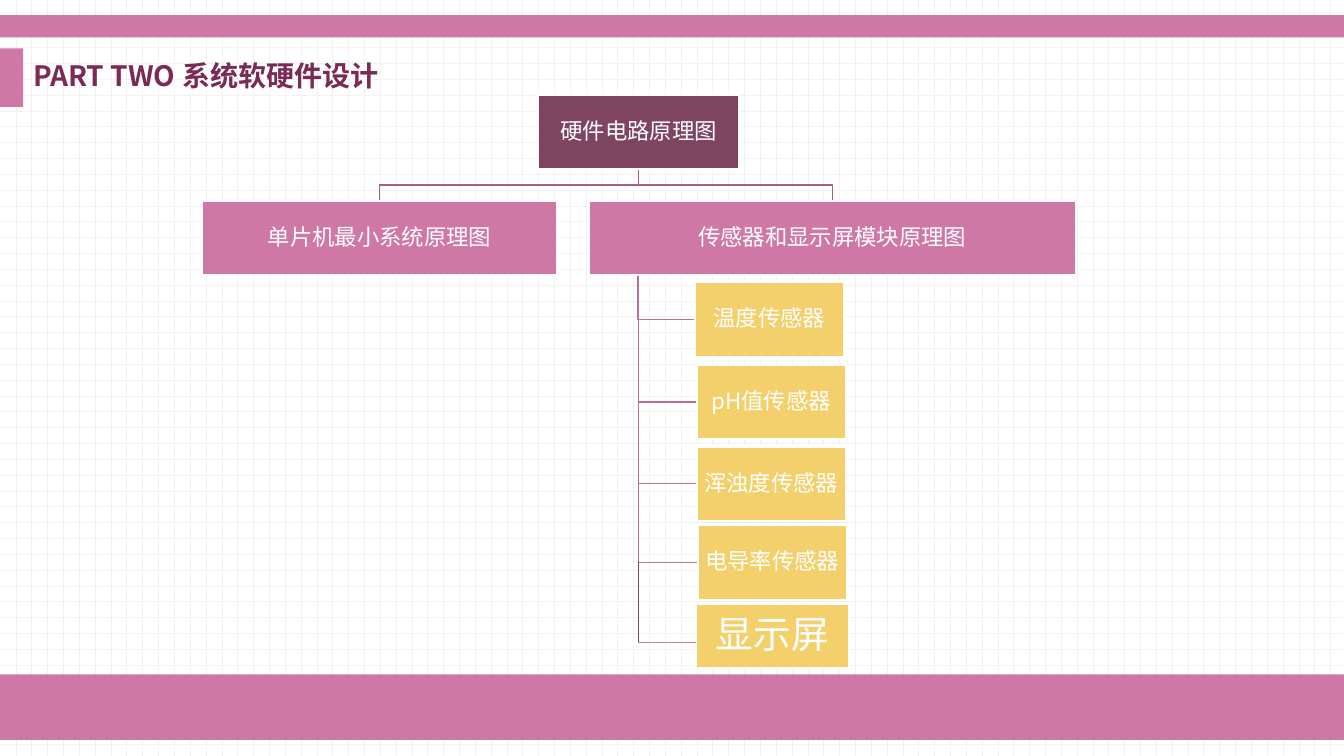
import pptx
import pptx.util
import pptx.dml.color
import pptx.enum.dml
import pptx.enum.shapes
import pptx.enum.text
import pptx.oxml

Inches = pptx.util.Inches
Pt = pptx.util.Pt
ALIGN = pptx.enum.text.PP_ALIGN
MIDDLE = pptx.enum.text.MSO_ANCHOR.MIDDLE
RECT = pptx.enum.shapes.MSO_SHAPE.RECTANGLE
A_NS = "http://schemas.openxmlformats.org/drawingml/2006/main"

PINK, PLUM, GOLD, WHITE = "D078A5", "7E4460", "F3D06C", "FFFFFF"
SANS, DISPLAY = "Noto Sans CJK SC", "TeX Gyre Adventor"


def rgb(value):
    return pptx.dml.color.RGBColor.from_string(value)


def apply(obj, values):
    for name, value in values.items():
        setattr(obj, name, value)


class Deck:
    """Holds the style and the current slide, and draws each kind of element."""

    def __init__(self, width, height):
        self.prs = pptx.Presentation()
        apply(self.prs, {"slide_width": Inches(width), "slide_height": Inches(height)})
        self.s = self.prs.slides.add_slide(self.prs.slide_layouts[5])

    def background(self, fore, back):
        fill = self.s.background.fill
        fill.patterned()
        fill.pattern = pptx.enum.dml.MSO_PATTERN.DOTTED_GRID
        fill.fore_color.rgb = rgb(fore)
        fill.back_color.rgb = rgb(back)

    def label(self, sp, text, size, color, font=SANS, inset=0.01, bold=False,
              align=ALIGN.CENTER, before=0):
        tf = sp.text_frame
        margins = {f"margin_{side}": Inches(inset) for side in ("left", "right", "top", "bottom")}
        apply(tf, {"word_wrap": True, "vertical_anchor": MIDDLE,
                   "auto_size": pptx.enum.text.MSO_AUTO_SIZE.NONE, **margins})
        p = tf.paragraphs[0]
        apply(p, {"alignment": align, "line_spacing": 0.9, "space_before": Pt(before)})
        r = p.add_run()
        r.text = text
        apply(r.font, {"size": Pt(size), "bold": bold, "name": font})
        r.font.color.rgb = rgb(color)
        r._r.get_or_add_rPr().append(
            pptx.oxml.parse_xml(f'<a:ea xmlns:a="{A_NS}" typeface="{font}"/>'))

    def title(self, text, left, top, width, height):
        sp = self.s.shapes.title
        apply(sp, {"left": Inches(left), "top": Inches(top),
                   "width": Inches(width), "height": Inches(height)})
        self.label(sp, text, 20, "7A2A53", inset=0.1, bold=True, align=ALIGN.LEFT, before=10)

    def rect(self, left, top, width, height, fill):
        sp = self.s.shapes.add_shape(RECT, *map(Inches, (left, top, width, height)))
        sp.shadow.inherit = False
        sp.fill.solid()
        sp.fill.fore_color.rgb = rgb(fill)
        sp.line.fill.background()
        return sp

    def box(self, text, left, top, width, height, fill, size=16, **style):
        sp = self.rect(left, top, width, height, fill)
        sp.line.color.rgb = rgb(WHITE)
        sp.line.width = Pt(1.5)
        self.label(sp, text, size, WHITE, **style)

    def elbow(self, points, color):
        start, *rest = [(Inches(x), Inches(y)) for x, y in points]
        builder = self.s.shapes.build_freeform(*start)
        builder.add_line_segments(rest, close=False)
        sp = builder.convert_to_shape()
        sp.shadow.inherit = False
        sp.fill.background()
        sp.line.color.rgb = rgb(color)
        sp.line.width = Pt(1)

    def line(self, x1, y1, x2, y2, color):
        sp = self.s.shapes.add_connector(
            pptx.enum.shapes.MSO_CONNECTOR.STRAIGHT, *map(Inches, (x1, y1, x2, y2)))
        sp.line.color.rgb = rgb(color)
        sp.line.width = Pt(0.5)
        sp._element.spPr.append(pptx.oxml.parse_xml(f'<a:effectLst xmlns:a="{A_NS}"/>'))


def main():
    deck = Deck(13.33, 7.5)
    deck.background("F2F2F2", WHITE)
    for bar in ((0, 6.69, 13.33, 0.65), (0, 0.15, 13.33, 0.22), (0, 0.48, 0.23, 0.58)):
        deck.rect(*bar, PINK)
    deck.title("PART TWO 系统软硬件设计", 0.23, 0.48, 5.32, 0.58)

    box_h = 0.74
    root_x, root_y, root_w = 5.34, 0.94, 1.99
    branch_y = 1.99
    branches = [("单片机最小系统原理图", 2, 3.53), ("传感器和显示屏模块原理图", 5.84, 4.83)]
    sensors = [("温度传感器", 6.89, 2.8), ("pH值传感器", 6.91, 3.62),
               ("浑浊度传感器", 6.91, 4.43), ("电导率传感器", 6.92, 5.21)]
    trunk_x, trunk_y = 6.33, branch_y + box_h

    for _, x, y in reversed(sensors):
        mid = y + box_h / 2
        deck.elbow([(trunk_x, trunk_y), (trunk_x, mid), (x, mid)], "BD6D96")
    root_mid, root_end = root_x + root_w / 2, root_y + box_h
    fork_y = (root_end + branch_y) / 2
    for _, x, width in reversed(branches):
        mid = x + width / 2
        deck.elbow([(root_mid, root_end), (root_mid, fork_y), (mid, fork_y), (mid, branch_y)],
                   "A76084")

    deck.box("硬件电路原理图", root_x, root_y, root_w, box_h, PLUM)
    for text, x, width in branches:
        deck.box(text, x, branch_y, width, box_h, PINK)
    for text, x, y in sensors:
        deck.box(text, x, y, 1.48, box_h, GOLD)
    deck.box("显示屏", 6.9, 5.99, 1.52, 0.64, GOLD, size=27, font=DISPLAY, inset=0.02)

    screen_y = 6.37
    deck.line(trunk_x, 5.58, trunk_x, screen_y, PLUM)
    deck.line(trunk_x, screen_y, 6.9, screen_y, PINK)
    deck.prs.save("out.pptx")


if __name__ == "__main__":
    main()
